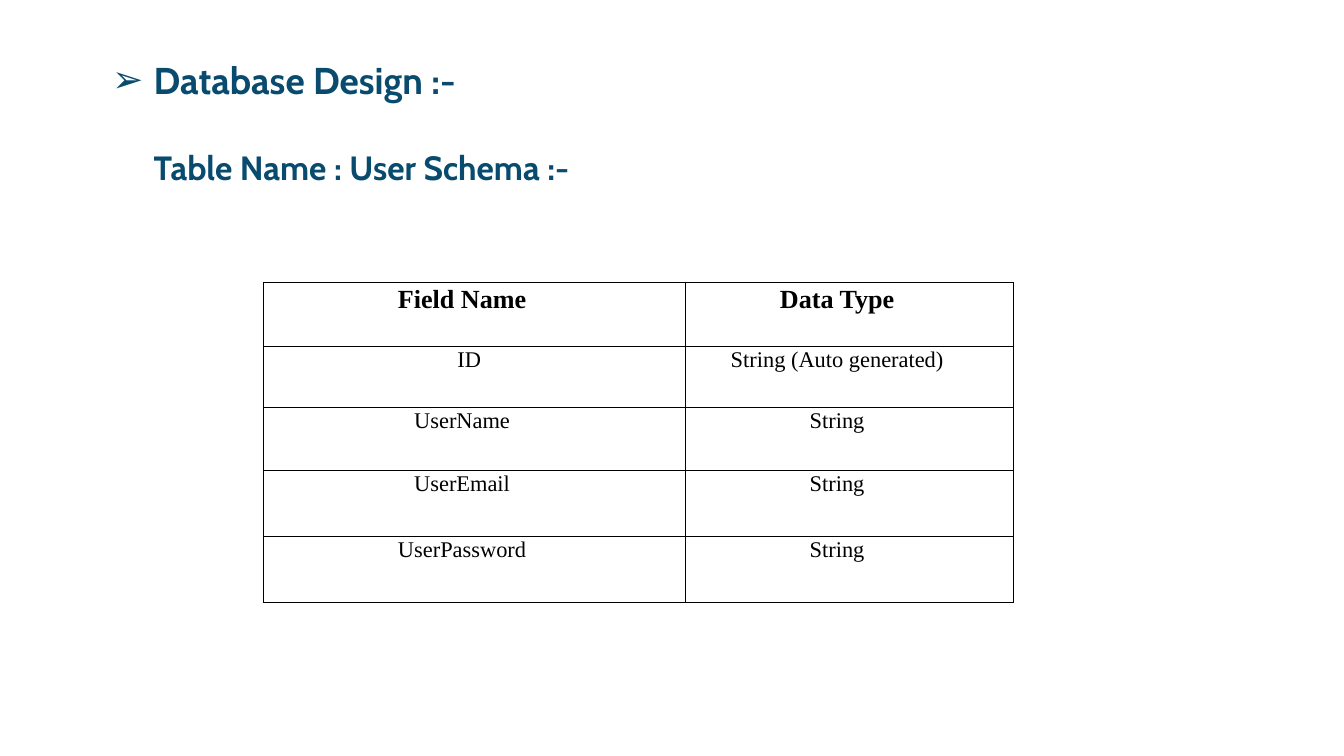
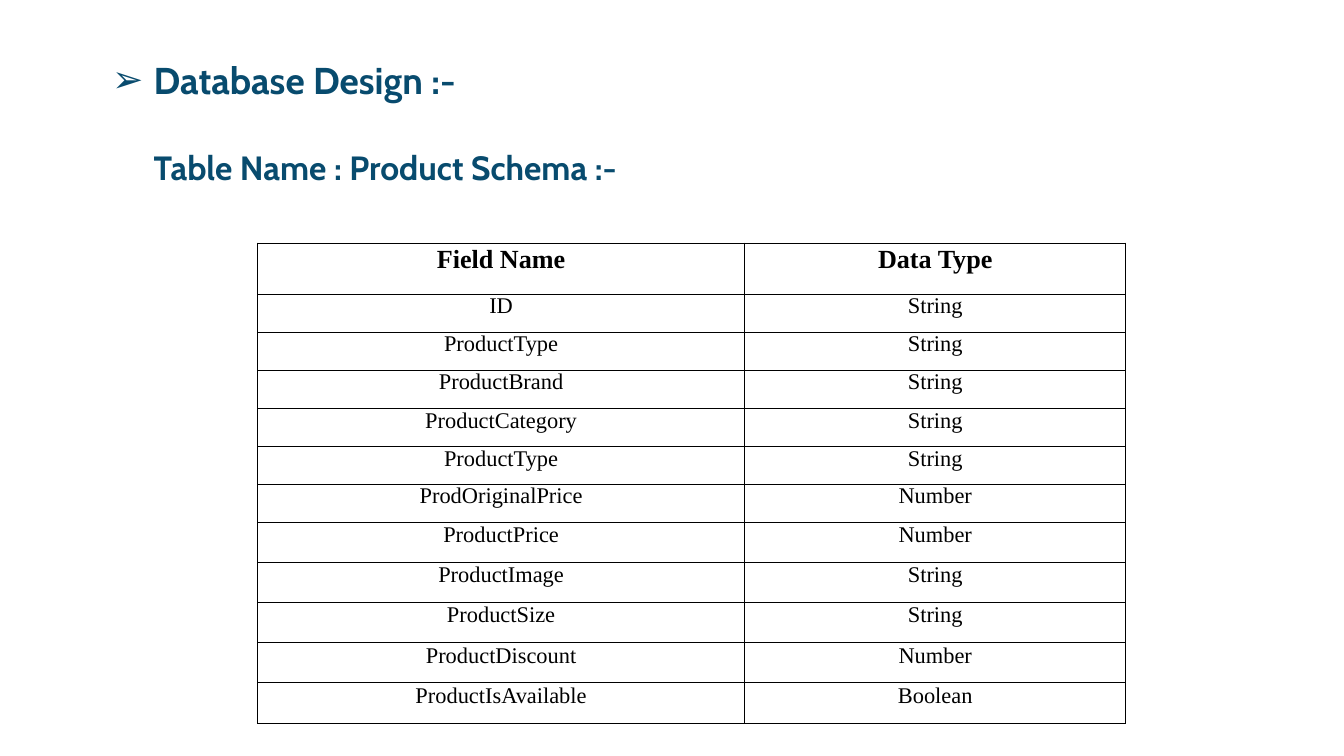
from lxml.etree import SubElement
from pptx import Presentation
from pptx.dml.color import RGBColor
from pptx.enum.text import MSO_ANCHOR, MSO_AUTO_SIZE, PP_ALIGN
from pptx.oxml.ns import qn
from pptx.util import Cm, Pt

INK, NAVY, WHITE = "000000", "084B6E", "FFFFFF"
NO_INSETS = dict(margin_left=0, margin_top=0, margin_right=0, margin_bottom=0)


def color(hex_value):
    return RGBColor.from_string(hex_value)


def apply(target, values):
    for name, value in values.items():
        setattr(target, name, value)


class SchemaDeck:
    """Holds the shared style and the slide being built."""

    heading_font = dict(name="Cabin", size=Pt(40), bold=True)
    subheading_font = heading_font | dict(size=Pt(36))
    header_font = dict(name="Times New Roman", size=Pt(28), bold=True)
    field_font = dict(name="Times New Roman", size=Pt(24), bold=False)
    hanging = Cm(1.57)

    def __init__(self):
        self.deck = Presentation()
        apply(self.deck, dict(slide_width=Cm(50.8), slide_height=Cm(28.58)))
        self.slide = None

    def add_slide(self):
        self.slide = self.deck.slides.add_slide(self.deck.slide_layouts[5])
        background = self.slide.background.fill
        background.solid()
        background.fore_color.rgb = color(WHITE)

    def add_text(self, paragraph, text, font, ink, layout):
        apply(paragraph, layout)
        run = paragraph.add_run()
        run.text = text
        apply(run.font, font)
        run.font.color.rgb = color(ink)

    def indent(self, paragraph, margin, first_line, right=0):
        properties = paragraph._p.get_or_add_pPr()
        for name, value in dict(marL=margin, marR=right, indent=first_line).items():
            properties.set(name, str(int(value)))
        return properties

    def title(self, heading, subheading):
        title = self.slide.shapes.title
        apply(title, dict(left=Cm(4.24), top=Cm(2.18), width=Cm(31.95), height=Cm(5.13)))
        frame = title.text_frame
        apply(frame, NO_INSETS | dict(word_wrap=True, vertical_anchor=MSO_ANCHOR.TOP,
                                      auto_size=MSO_AUTO_SIZE.SHAPE_TO_FIT_TEXT))

        # Arrow bullet on the heading only
        top_line = frame.paragraphs[0]
        properties = self.indent(top_line, self.hanging, -self.hanging)
        SubElement(properties, qn("a:buFont"), typeface="Arial")
        SubElement(properties, qn("a:buChar"), char="➢")
        left = dict(alignment=PP_ALIGN.LEFT, line_spacing=1.0)
        self.add_text(top_line, heading, self.heading_font, NAVY, left)

        # Subheading aligned with the heading text
        second_line = frame.add_paragraph()
        self.indent(second_line, self.hanging, 0)
        self.add_text(second_line, subheading, self.subheading_font, NAVY,
                      left | dict(space_before=Pt(48)))

    def border(self, cell):
        properties = cell._tc.get_or_add_tcPr()
        for side in ("lnL", "lnR", "lnT", "lnB"):
            line = SubElement(properties, qn(f"a:{side}"), w=str(Pt(1)))
            fill = SubElement(line, qn("a:solidFill"))
            SubElement(fill, qn("a:srgbClr"), val=INK)
        cell.fill.background()

    def schema_table(self, left, top, widths, heights, fields, cell_format,
                     paragraph_format, indents=None):
        rows = [("Field Name", "Data Type"), *fields]
        table = self.slide.shapes.add_table(
            len(rows), len(widths), Cm(left), Cm(top),
            Cm(sum(widths)), Cm(sum(heights))).table
        apply(table, dict(first_row=False, horz_banding=False))
        for column, width in zip(table.columns, widths):
            column.width = Cm(width)
        for row, height in zip(table.rows, heights):
            row.height = Cm(height)
        for r, row in enumerate(rows):
            for c, text in enumerate(row):
                cell = table.cell(r, c)
                apply(cell, cell_format)
                self.border(cell)
                paragraph = cell.text_frame.paragraphs[0]
                if indents:
                    margin, first_line, right = indents
                    margin = 0.64 if text == "ID" else margin
                    self.indent(paragraph, Cm(margin), Cm(first_line), Cm(right))
                self.add_text(paragraph, text, self.field_font if r else self.header_font,
                              INK, dict(alignment=PP_ALIGN.CENTER) | paragraph_format)


def main():
    schemas = SchemaDeck()

    # User schema
    schemas.add_slide()
    schemas.title("Database Design :-", "Table Name : User Schema :-")
    schemas.schema_table(
        9.96, 10.69, (15.93, 12.42), (2.39, 2.31, 2.39, 2.49, 2.49),
        [("ID", "String (Auto generated)"), ("UserName", "String"),
         ("UserEmail", "String"), ("UserPassword", "String")],
        NO_INSETS | dict(margin_right=Cm(0.2), vertical_anchor=MSO_ANCHOR.TOP),
        dict(line_spacing=1.07, space_after=Pt(0.5)), indents=(0.1, -0.03, 0.79))

    # Product schema
    schemas.add_slide()
    schemas.title("Database Design :-", "Table Name : Product Schema :-")
    schemas.schema_table(
        9.73, 9.19, (18.42, 14.4),
        (1.93, 1.45, 1.42, 1.45, 1.45, 1.42, 1.42) + (1.52,) * 5,
        [("ID", "String"), ("ProductType", "String"), ("ProductBrand", "String"),
         ("ProductCategory", "String"), ("ProductType", "String"),
         ("ProdOriginalPrice", "Number"), ("ProductPrice", "Number"),
         ("ProductImage", "String"), ("ProductSize", "String"),
         ("ProductDiscount", "Number"), ("ProductIsAvailable", "Boolean")],
        NO_INSETS | dict(vertical_anchor=MSO_ANCHOR.MIDDLE),
        dict(line_spacing=Pt(11.3)))

    schemas.deck.save("out.pptx")


if __name__ == "__main__":
    main()
